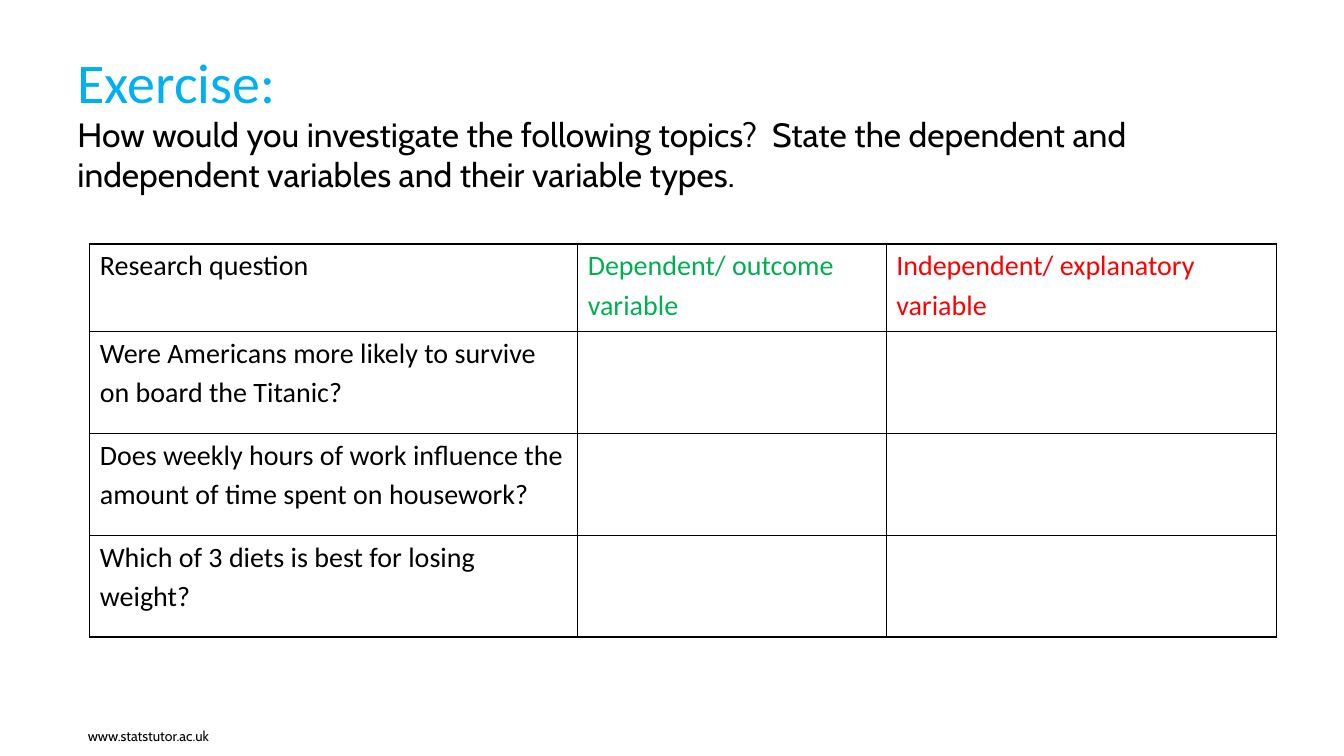
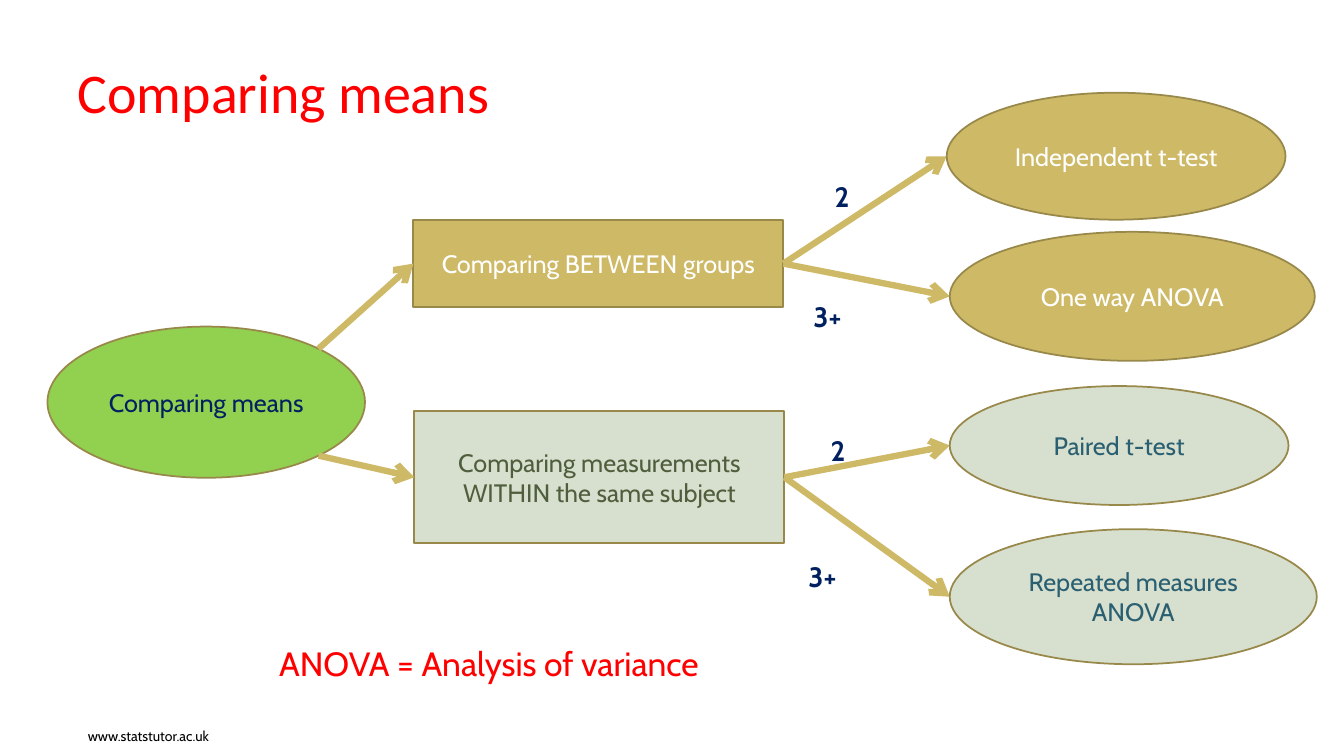
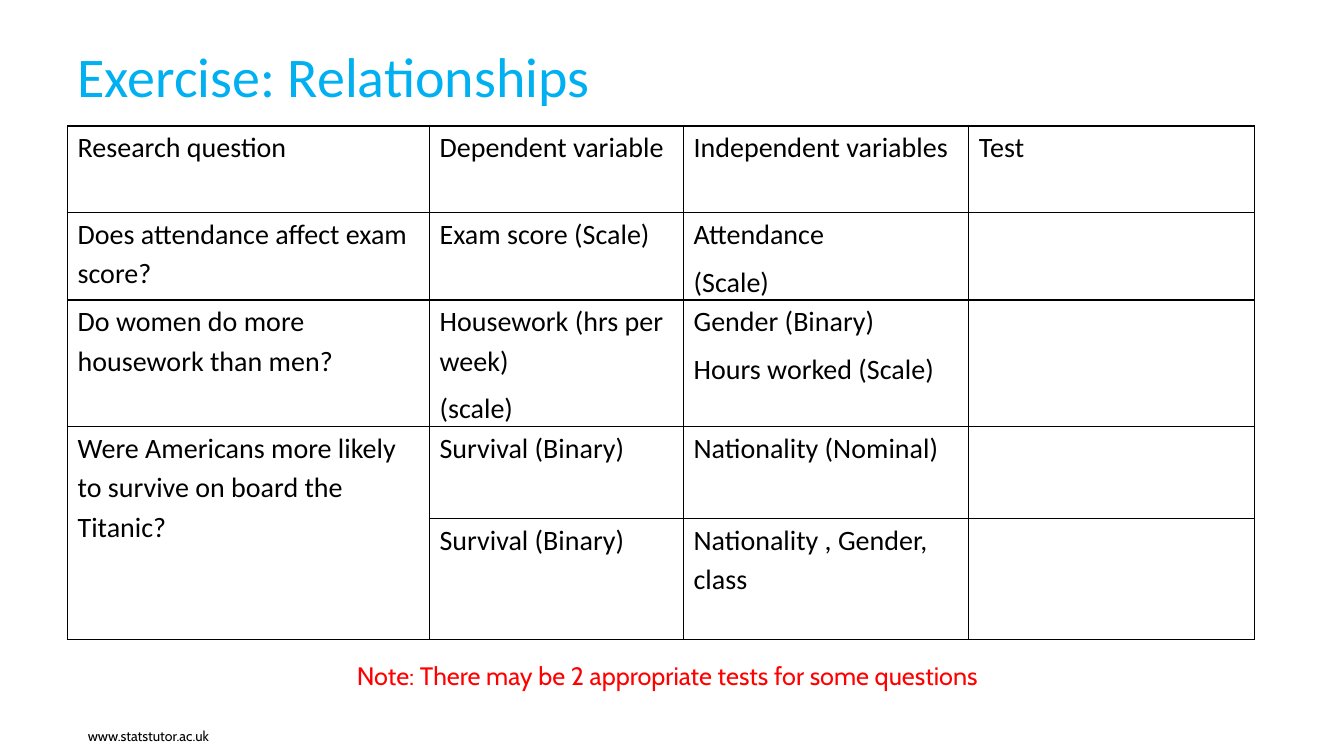
import math
from dataclasses import dataclass
from lxml import etree
from pptx import Presentation
from pptx import util as u
from pptx.dml import color as dml
from pptx.enum import shapes, text
from pptx.oxml import ns

PX = 9144
TITLE_ONLY = 5


@dataclass(frozen=True)
class Theme:
    white: str = "FFFFFF"
    black: str = "000000"
    sky: str = "00B0F0"
    red: str = "FF0000"
    green: str = "00B050"
    lime: str = "92D050"
    navy: str = "002060"
    gold: str = "CEB966"
    bronze: str = "98894B"
    sage: str = "D7DFCE"
    olive: str = "4F5E3C"
    teal: str = "295F71"
    heading_font: str = "Calibri"
    body_font: str = "Cabin"
    title_size: int = 40
    lead_size: int = 24
    table_size: int = 20
    label_size: int = 20
    node_size: int = 18
    footer_size: int = 10
    node_line: float = 1.25
    arrow_line: float = 4.5
    border_line: int = 1


THEME = Theme()


def rgb(value):
    return dml.RGBColor.from_string(value)


def px(*lengths):
    return [u.Emu(round(length * PX)) for length in lengths]


def within(box, left, top, width, height):
    return box[0] + left, box[1] + top, width, height


def set_values(target, values):
    for name, value in values.items():
        setattr(target, name, value)


def set_font(font, size, colour, name=THEME.body_font, bold=False):
    set_values(font, {"name": name, "size": u.Pt(size), "bold": bold})
    font.color.rgb = rgb(colour)


def write(frame, words, size, colour, bold=False, name=THEME.body_font,
          align=text.PP_ALIGN.LEFT, anchor=text.MSO_ANCHOR.TOP):
    set_values(frame, {"word_wrap": True, "vertical_anchor": anchor,
                       "auto_size": text.MSO_AUTO_SIZE.NONE})
    frame.text = words
    paragraph = frame.paragraphs[0]
    paragraph.alignment = align
    set_font(paragraph.runs[0].font, size, colour, name, bold)


def add_text(slide, box, words, size, colour, **style):
    shape = slide.shapes.add_textbox(*px(*box))
    write(shape.text_frame, words, size, colour, **style)
    return shape


def add_footer(slide, box):
    add_text(slide, box, "www.statstutor.ac.uk", THEME.footer_size, THEME.black,
             align=text.PP_ALIGN.RIGHT, anchor=text.MSO_ANCHOR.BOTTOM)


def add_titled_slide(presentation, words, colour, top, height=103):
    slide = presentation.slides.add_slide(presentation.slide_layouts[TITLE_ONLY])
    title = slide.shapes.title
    places = px(67, top, 1240, height)
    set_values(title, dict(zip(("left", "top", "width", "height"), places)))
    write(title.text_frame, words, THEME.title_size, colour, name=THEME.heading_font)
    add_footer(slide, (-22, 708, 239, 35))
    return slide


def add_borders(cell):
    properties = cell._tc.get_or_add_tcPr()
    for position, side in enumerate(("lnL", "lnR", "lnT", "lnB")):
        line = etree.Element(ns.qn(f"a:{side}"), w=str(u.Pt(THEME.border_line)))
        fill = etree.SubElement(line, ns.qn("a:solidFill"))
        etree.SubElement(fill, ns.qn("a:srgbClr"), val=THEME.black)
        properties.insert(position, line)


def fill_cell(cell, words, colour):
    cell.fill.background()
    left, top, right, bottom = px(10, 0, 10, 0)
    set_values(cell, {"margin_left": left, "margin_top": top,
                      "margin_right": right, "margin_bottom": bottom})
    add_borders(cell)
    cell.text = words
    for paragraph in cell.text_frame.paragraphs:
        set_values(paragraph, {"line_spacing": 1.15, "space_after": u.Pt(6)})
        set_font(paragraph.font, THEME.table_size, colour, THEME.heading_font)
        for run in paragraph.runs:
            set_font(run.font, THEME.table_size, colour, THEME.heading_font)


def add_grid(slide, origin, columns, heights, rows, header_colours=None):
    box = (*origin, sum(columns), sum(heights))
    table = slide.shapes.add_table(len(heights), len(columns), *px(*box)).table
    set_values(table, {"first_row": False, "horz_banding": False})
    for column, width in zip(table.columns, px(*columns)):
        column.width = width
    for row, height in zip(table.rows, px(*heights)):
        row.height = height
    plain = [THEME.black] * len(columns)
    for r, row in enumerate(rows):
        colours = header_colours if header_colours and r == 0 else plain
        for c, (words, colour) in enumerate(zip(row, colours)):
            fill_cell(table.cell(r, c), words, colour)
    return table


def add_node(slide, box, kind, words, fill, colour):
    node = slide.shapes.add_shape(kind, *px(*box))
    node.shadow.inherit = False
    node.fill.solid()
    node.fill.fore_color.rgb = rgb(fill)
    node.line.color.rgb = rgb(THEME.bronze)
    node.line.width = u.Pt(THEME.node_line)
    write(node.text_frame, words, THEME.node_size, colour,
          align=text.PP_ALIGN.CENTER, anchor=text.MSO_ANCHOR.MIDDLE)


def edge(box, across, down):
    left, top, width, height = box
    return left + width * (1 + across) / 2, top + height * (1 + down) / 2


def add_arrow(slide, start, end):
    arrow = slide.shapes.add_connector(shapes.MSO_CONNECTOR.STRAIGHT, *px(*start, *end))
    arrow.line.color.rgb = rgb(THEME.gold)
    arrow.line.width = u.Pt(THEME.arrow_line)
    etree.SubElement(arrow.line._get_or_add_ln(), ns.qn("a:tailEnd"), type="arrow")
    etree.SubElement(arrow._element.spPr, ns.qn("a:effectLst"))


def add_branch(slide, box, group, outcomes, fill, group_colour, outcome_colour):
    group_place, group_words = group
    group_box = within(box, *group_place)
    add_node(slide, group_box, shapes.MSO_SHAPE.RECTANGLE, group_words, fill, group_colour)
    for place, words, label_place, label in outcomes:
        outcome_box = within(box, *place)
        add_arrow(slide, edge(group_box, 1, 0), edge(outcome_box, -1, 0))
        add_node(slide, outcome_box, shapes.MSO_SHAPE.OVAL, words, fill, outcome_colour)
        add_text(slide, within(box, *label_place), label, THEME.label_size,
                 THEME.navy, bold=True)
    return edge(group_box, -1, 0)


def add_decision_tree(slide, box):
    root = within(box, 0, 232, 315, 150)
    add_node(slide, root, shapes.MSO_SHAPE.OVAL, "Comparing means", THEME.lime, THEME.navy)
    between = add_branch(
        slide, within(box, 363, 0, 894, 266),
        ((0, 126, 367, 87), "Comparing BETWEEN groups"),
        [((529, 0, 336, 126), "Independent t-test", (408, 81, 63, 44), "2"),
         ((532, 138, 362, 128), "One way ANOVA", (387, 200, 106, 44), "3+")],
        THEME.gold, THEME.white, THEME.white)
    inside = add_branch(
        slide, within(box, 364, 291, 895, 276),
        ((0, 25, 367, 131), "Comparing measurements WITHIN the same subject"),
        [((531, 0, 336, 118), "Paired t-test", (403, 42, 63, 44), "2"),
         ((531, 142, 364, 134), "Repeated measures ANOVA", (381, 167, 106, 44), "3+")],
        THEME.sage, THEME.olive, THEME.teal)
    diagonal = math.sqrt(0.5)
    add_arrow(slide, edge(root, diagonal, -diagonal), between)
    add_arrow(slide, edge(root, diagonal, diagonal), inside)


def build_topics(presentation):
    slide = add_titled_slide(presentation, "Exercise:", THEME.sky, 42)
    rows = [
        ("Research question", "Dependent/ outcome variable",
         "Independent/ explanatory variable"),
        ("Were Americans more likely to survive on board the Titanic?", "", ""),
        ("Does weekly hours of work influence the amount of time spent on housework?", "", ""),
        ("Which of 3 diets is best for losing weight?", "", ""),
    ]
    add_grid(slide, (89, 242), (484, 306, 387), (87, 101, 101, 101), rows,
             (THEME.black, THEME.green, THEME.red))
    add_text(slide, (67, 108, 1167, 91),
             "How would you investigate the following topics?  State the dependent "
             "and independent variables and their variable types.",
             THEME.lead_size, THEME.black)


def build_means(presentation):
    slide = add_titled_slide(presentation, "Comparing means", THEME.red, 52)
    add_decision_tree(slide, (47, 92, 1259, 567))
    add_text(slide, (267, 633, 696, 50), "ANOVA = Analysis of variance",
             THEME.lead_size, THEME.red)


def build_relationships(presentation):
    slide = add_titled_slide(presentation, "Exercise: Relationships", THEME.sky, 36, 79)
    rows = [
        ("Research question", "Dependent variable", "Independent variables", "Test"),
        ("Does attendance affect exam score?", "Exam score (Scale)",
         "Attendance\n(Scale)", ""),
        ("Do women do more housework than men?", "Housework (hrs per week)\n(scale)",
         "Gender (Binary)\nHours worked (Scale)", ""),
        ("Were Americans more likely to survive on board the Titanic?",
         "Survival (Binary)", "Nationality (Nominal)", ""),
        ("", "Survival (Binary)", "Nationality , Gender, class", ""),
    ]
    table = add_grid(slide, (67, 125), (359, 252, 283, 283), (86, 80, 120, 91, 120), rows)
    table.cell(3, 0).merge(table.cell(4, 0))
    note = add_text(slide, (344, 650, 989, 40),
                    "Note: There may be 2 appropriate tests for some questions",
                    THEME.node_size, THEME.red)
    note.fill.solid()
    note.fill.fore_color.rgb = rgb(THEME.white)


def main():
    presentation = Presentation()
    width, height = px(1333, 750)
    set_values(presentation, {"slide_width": width, "slide_height": height})
    for build in (build_topics, build_means, build_relationships):
        build(presentation)
    presentation.save("out.pptx")


if __name__ == "__main__":
    main()
